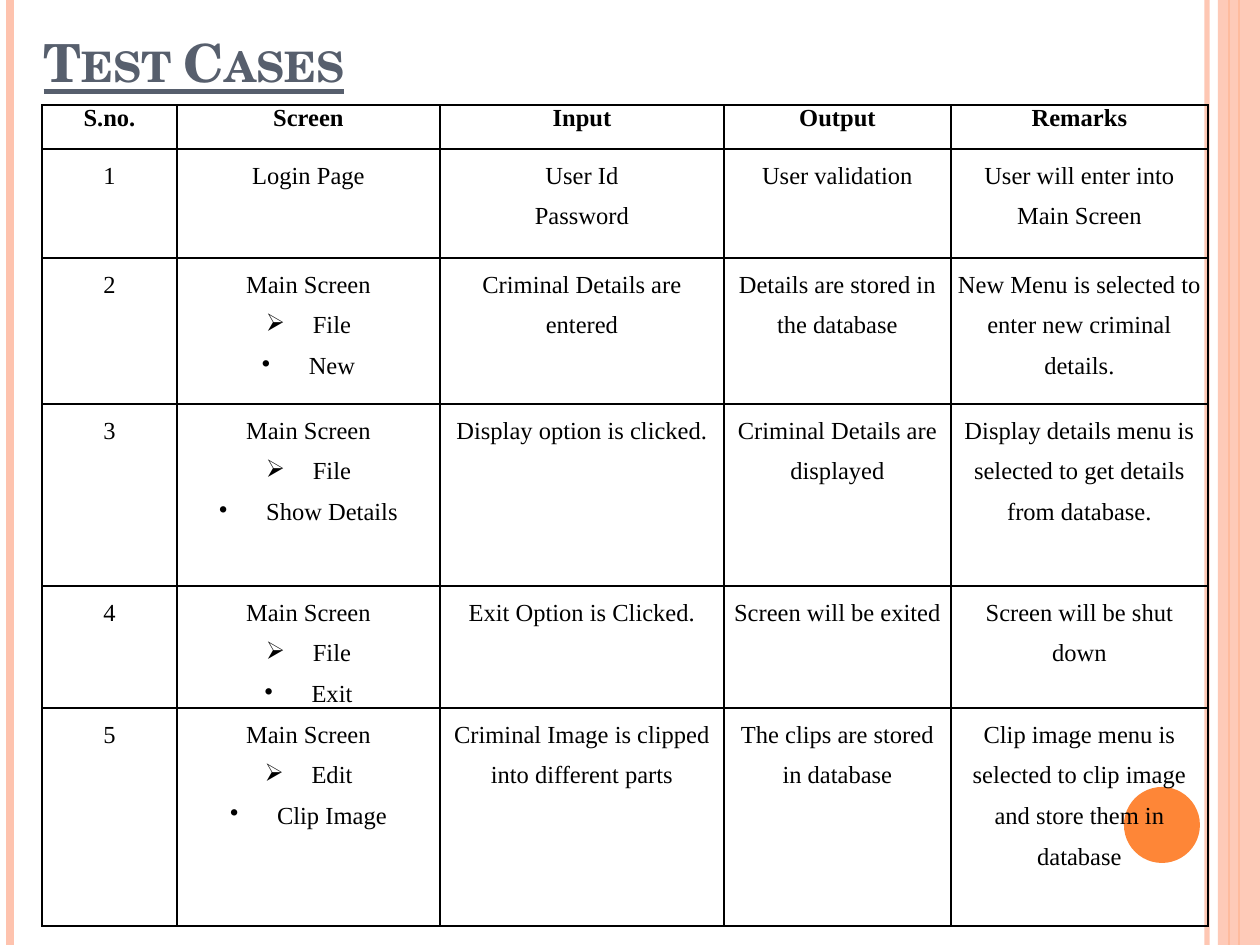
from dataclasses import dataclass

from lxml.etree import SubElement
from pptx import Presentation
from pptx.dml.color import RGBColor
from pptx.enum.shapes import MSO_CONNECTOR, MSO_SHAPE
from pptx.enum.text import MSO_ANCHOR, PP_ALIGN
from pptx.oxml import parse_xml
from pptx.oxml.ns import nsdecls, qn
from pptx.util import Emu, Pt


@dataclass(frozen=True)
class Theme:
    peach: RGBColor = RGBColor(0xFE, 0xC3, 0xAE)
    orange: RGBColor = RGBColor(0xFE, 0x86, 0x37)
    slate: RGBColor = RGBColor(0x57, 0x5F, 0x6D)
    black: RGBColor = RGBColor(0, 0, 0)
    title_font: str = "TeX Gyre Schola"
    body_font: str = "Times New Roman"
    title_size: Pt = Pt(30)
    body_size: Pt = Pt(14)


theme = Theme()
WIDTH, HEIGHT = 1260, 945


def px(n):
    return Emu(round(n * 914400 / 126))


def set_opacity(fill, percent):
    color = fill._xPr.find(".//" + qn("a:srgbClr"))
    SubElement(color, qn("a:alpha"), val=str(percent * 1000))


prs = Presentation()
prs.slide_width, prs.slide_height = px(WIDTH), px(HEIGHT)
s = prs.slides.add_slide(prs.slide_layouts[5])

# Side stripes and the page-number disc: x, width in points, colour, opacity
stripes = [
    (1207, 3, theme.peach, 93),
    (10, 4.5, theme.peach, 100),
    (1239, 1.5, theme.orange, 100),
    (1229, 0.75, theme.orange, 100),
]
for x, weight, color, opacity in stripes:
    line = s.shapes.add_connector(MSO_CONNECTOR.STRAIGHT, px(x), 0, px(x), px(HEIGHT))
    line.line.width = Pt(weight)
    line.line.color.rgb = color
    if opacity < 100:
        set_opacity(line.line.fill, opacity)
    SubElement(line._element.spPr, qn("a:effectLst"))

for kind, box, color, opacity in [
    (MSO_SHAPE.RECTANGLE, (1218, 0, 42, HEIGHT), theme.peach, 87),
    (MSO_SHAPE.OVAL, (1124, 787, 76, 76), theme.orange, 100),
]:
    sp = s.shapes.add_shape(kind, *map(px, box))
    sp.shadow.inherit = False
    sp.fill.solid()
    sp.fill.fore_color.rgb = color
    if opacity < 100:
        set_opacity(sp.fill, opacity)
    sp.line.fill.background()

# Title
title = s.shapes.title
title.left, title.top, title.width, title.height = map(px, (31, 21, 1030, 78))
tf = title.text_frame
tf.vertical_anchor = MSO_ANCHOR.BOTTOM
p = tf.paragraphs[0]
p.alignment = PP_ALIGN.LEFT
r = p.add_run()
r.text = "Test Cases"
r.font.name, r.font.size = theme.title_font, theme.title_size
r.font.bold = r.font.underline = True
r.font.color.rgb = theme.slate
r._r.get_or_add_rPr().set("cap", "small")

# Table: each cell is a list of paragraphs, a leading ➢ or • makes a bullet
rows = [
    (["S.no."], ["Screen"], ["Input"], ["Output"], ["Remarks"]),
    (["1"], ["Login Page"], ["User Id", "Password"], ["User validation"],
     ["User will enter into Main Screen"]),
    (["2"], ["Main Screen", "➢File", "•New"], ["Criminal Details are entered"],
     ["Details are stored in the database"],
     ["New Menu is selected to enter new criminal details."]),
    (["3"], ["Main Screen", "➢File", "•Show Details"], ["Display option is clicked."],
     ["Criminal Details are displayed"],
     ["Display details menu is selected to get details from database."]),
    (["4"], ["Main Screen", "➢File", "•Exit"], ["Exit Option is Clicked."],
     ["Screen will be exited"], ["Screen will be shut down"]),
    (["5"], ["Main Screen", "➢Edit", "•Clip Image"],
     ["Criminal Image is clipped into different parts"],
     ["The clips are stored in database"],
     ["Clip image menu is selected to clip image and store them in database"]),
]
col_widths = [135, 263, 284, 227, 257]
row_heights = [44, 109, 146, 182, 110, 218]

frame = s.shapes.add_table(len(rows), len(col_widths), px(42), px(105),
                           px(sum(col_widths)), px(sum(row_heights)))
table = frame.table
table.first_row = table.horz_banding = False
for col, width in zip(table.columns, col_widths):
    col.width = px(width)
for row, height in zip(table.rows, row_heights):
    row.height = px(height)

for i, row in enumerate(rows):
    for j, texts in enumerate(row):
        cell = table.cell(i, j)
        cell.margin_left = cell.margin_right = px(6)
        cell.margin_top = cell.margin_bottom = 0
        tcPr = cell._tc.get_or_add_tcPr()
        for side in "LRTB":
            tcPr.append(parse_xml(
                f'<a:ln{side} {nsdecls("a")} w="{Pt(1)}"><a:solidFill>'
                f'<a:srgbClr val="{theme.black}"/></a:solidFill></a:ln{side}>'))
        cell.fill.background()
        tf = cell.text_frame
        for n, text in enumerate(texts):
            p = tf.add_paragraph() if n else tf.paragraphs[0]
            p.alignment = PP_ALIGN.CENTER
            if i:
                p.line_spacing = 1.5
            if text[0] in "➢•":
                pPr = p._p.get_or_add_pPr()
                pPr.set("marL", str(px(47)))
                pPr.set("indent", str(-px(47)))
                SubElement(pPr, qn("a:buChar"), char=text[0])
                tabs = SubElement(pPr, qn("a:tabLst"))
                SubElement(tabs, qn("a:tab"), pos=str(px(63)), algn="l")
            r = p.add_run()
            r.text = text.lstrip("➢•")
            r.font.name, r.font.size = theme.body_font, theme.body_size
            r.font.bold = i == 0
            r.font.color.rgb = theme.black

prs.save("out.pptx")
